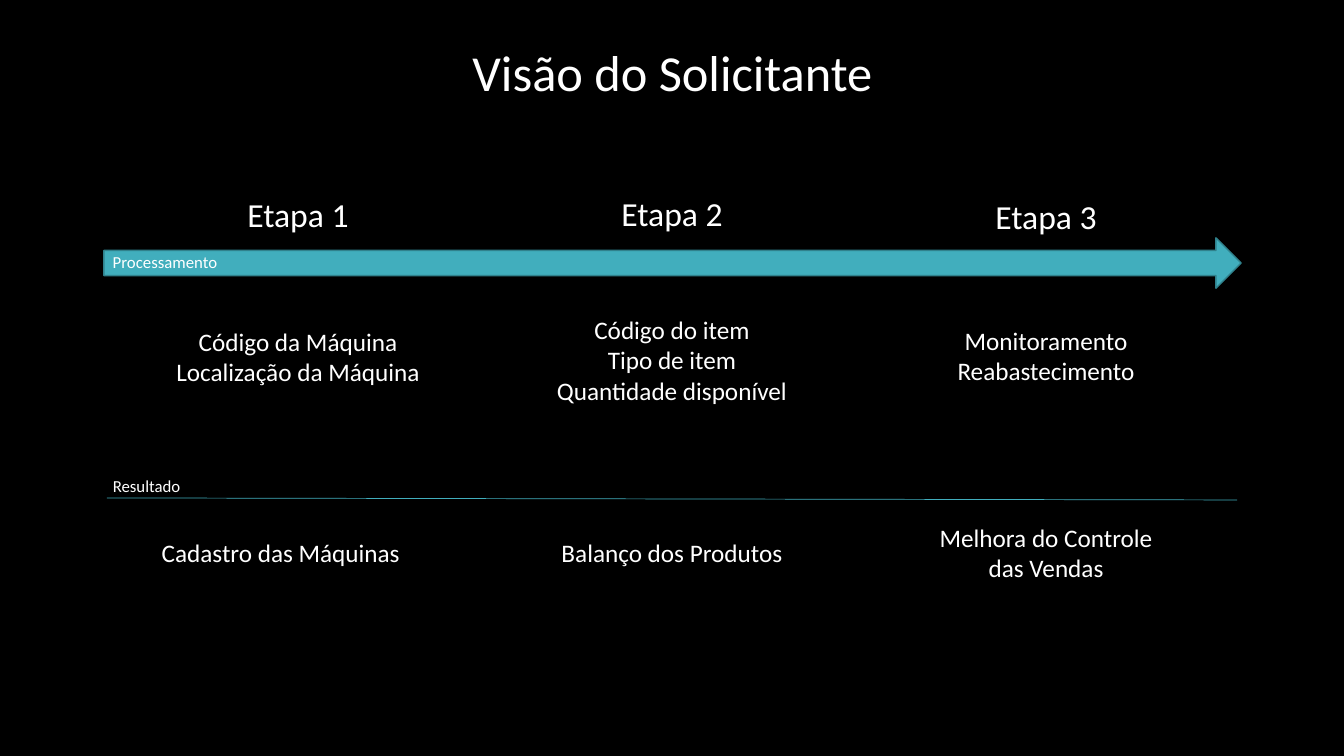
from pptx import Presentation
from pptx.dml.color import RGBColor
from pptx.enum.shapes import MSO_CONNECTOR, MSO_SHAPE
from pptx.enum.text import MSO_ANCHOR, MSO_AUTO_SIZE, PP_ALIGN
from pptx.oxml.ns import qn
from pptx.util import Inches, Pt
from lxml import etree

CENTER, LEFT = PP_ALIGN.CENTER, PP_ALIGN.LEFT
TOP = MSO_ANCHOR.TOP
FIT_SHAPE, FIT_NONE = MSO_AUTO_SIZE.SHAPE_TO_FIT_TEXT, MSO_AUTO_SIZE.NONE
RIGHT_ARROW, STRAIGHT = MSO_SHAPE.RIGHT_ARROW, MSO_CONNECTOR.STRAIGHT
TITLE_ONLY_LAYOUT = 5

FONT = "Calibri"
COLORS = {
    "background": "000000",
    "text": "FFFFFF",
    "teal": "41AEBD",
    "dark_teal": "30818C",
}

# Each box: left, top, width, height, lines of text, paragraph level
STEPS = [
    (1.31, 1.87, 3.29, 0.5, ["Etapa 1"], 0),
    (5.02, 1.86, 3.29, 0.5, ["Etapa 2"], 0),
    (8.73, 1.89, 3.29, 0.5, ["Etapa 3"], 0),
]
DETAILS = [
    (1.56, 3.19, 2.79, 0.71, ["Código da Máquina Localização da Máquina"], 0),
    (4.65, 3.07, 3.53, 1.01,
     ["Código do item", "Tipo de item", "Quantidade disponível"], 1),
    (9.04, 3.18, 2.67, 0.71, ["Monitoramento", "Reabastecimento"], 0),
]
RESULTS = [
    (1.45, 5.28, 2.67, 0.4, ["Cadastro das Máquinas"], 0),
    (5.33, 5.28, 2.67, 0.4, ["Balanço dos Produtos"], 0),
    (9.04, 5.13, 2.67, 0.71, ["Melhora do Controle das Vendas"], 0),
]
LABELS = [
    (1.02, 2.45, 1.46, 0.3, ["Processamento"], 0),
    (1.02, 4.67, 1.21, 0.3, ["Resultado"], 0),
]


def color(name):
    return RGBColor.from_string(COLORS[name])


def write_text(shape, lines, size=18, align=CENTER, level=0, fit=FIT_SHAPE):
    frame = shape.text_frame
    frame.word_wrap = True
    frame.auto_size = fit
    frame.vertical_anchor = TOP
    for index, line in enumerate(lines):
        para = frame.add_paragraph() if index else frame.paragraphs[0]
        para.alignment = align
        para.level = level
        span = para.add_run()
        span.text = line
        span.font.name = FONT
        span.font.size = Pt(size)
        span.font.color.rgb = color("text")


def add_text_boxes(page, boxes, **text_format):
    for left, top, width, height, lines, level in boxes:
        box = page.shapes.add_textbox(
            Inches(left), Inches(top), Inches(width), Inches(height))
        write_text(box, lines, level=level, **text_format)


def add_title(page, text):
    title = page.shapes.title
    title.left, title.top = Inches(3.91), Inches(0.36)
    title.width, title.height = Inches(5.52), Inches(0.71)
    write_text(title, [text], size=36, fit=FIT_NONE)


def add_process_arrow(page):
    arrow = page.shapes.add_shape(
        RIGHT_ARROW, Inches(1.03), Inches(2.36), Inches(11.28), Inches(0.5))
    arrow.shadow.inherit = False
    arrow.fill.solid()
    arrow.fill.fore_color.rgb = color("teal")
    arrow.line.color.rgb = color("dark_teal")
    arrow.line.width = Pt(1)


def add_result_line(page):
    line = page.shapes.add_connector(
        STRAIGHT, Inches(1.06), Inches(4.94), Inches(12.27), Inches(4.96))
    line.line.color.rgb = color("teal")
    line.line.width = Pt(0.5)
    etree.SubElement(line._element.spPr, qn("a:effectLst"))


def main():
    deck = Presentation()
    deck.slide_width, deck.slide_height = Inches(13.33), Inches(7.5)
    page = deck.slides.add_slide(deck.slide_layouts[TITLE_ONLY_LAYOUT])
    page.background.fill.solid()
    page.background.fill.fore_color.rgb = color("background")

    # Title and step headings
    add_title(page, "Visão do Solicitante")
    add_text_boxes(page, STEPS, size=24)

    # Content of each step
    add_text_boxes(page, DETAILS)
    add_text_boxes(page, RESULTS)

    # Row markers with their labels on top
    add_process_arrow(page)
    add_result_line(page)
    add_text_boxes(page, LABELS, size=12, align=LEFT)

    deck.save("out.pptx")


main()
